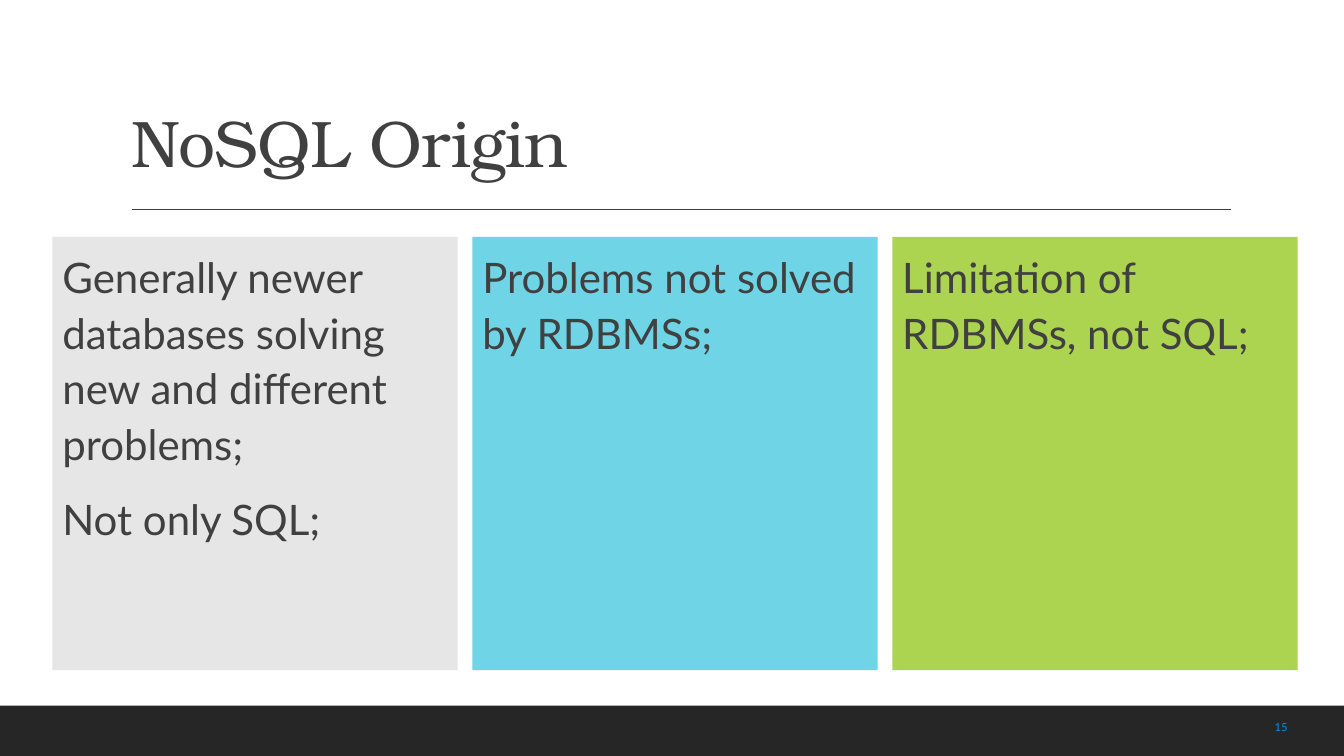
import pptx
import pptx.dml.color
import pptx.enum.shapes
import pptx.enum.text
import pptx.oxml.ns
import pptx.util
from lxml import etree

Inches = pptx.util.Inches
Pt = pptx.util.Pt
RGBColor = pptx.dml.color.RGBColor
Anchor = pptx.enum.text.MSO_ANCHOR
Align = pptx.enum.text.PP_ALIGN

INK = RGBColor(0x40, 0x40, 0x40)
FOOTER = RGBColor(0x26, 0x26, 0x26)
NUMBER = RGBColor(0x00, 0x91, 0xEA)
GREY = RGBColor(0xE6, 0xE6, 0xE6)
CYAN = RGBColor(0x6E, 0xD4, 0xE6)
GREEN = RGBColor(0xAC, 0xD4, 0x51)


class SlideBuilder:
    heading_font = "TeX Gyre Bonum"
    body_font = "Lato"

    def __init__(self, slide):
        self.slide = slide

    def set_text(self, frame, paragraphs, font, size, color,
                 anchor=Anchor.TOP, align=Align.LEFT, line=1.0, before=0, after=0):
        frame.text = "\n".join(paragraphs)
        frame.word_wrap = True
        frame.auto_size = pptx.enum.text.MSO_AUTO_SIZE.NONE
        frame.vertical_anchor = anchor
        frame.margin_left = frame.margin_right = Inches(0.1)
        frame.margin_top = frame.margin_bottom = Inches(0.1)
        for paragraph in frame.paragraphs:
            paragraph.alignment = align
            paragraph.line_spacing = line
            paragraph.space_before = Pt(before)
            paragraph.space_after = Pt(after)
            for run in paragraph.runs:
                run.font.name = font
                run.font.size = Pt(size)
                run.font.color.rgb = color

    def title(self, text, left, top, width, height):
        heading = self.slide.shapes.title
        heading.left, heading.top = Inches(left), Inches(top)
        heading.width, heading.height = Inches(width), Inches(height)
        self.set_text(heading.text_frame, [text], self.heading_font, 47, INK,
                      anchor=Anchor.BOTTOM, line=0.9)
        run = heading.text_frame.paragraphs[0].runs[0]
        run._r.get_or_add_rPr().set("spc", "-50")

    def block(self, left, top, width, height, color):
        block = self.slide.shapes.add_shape(
            pptx.enum.shapes.MSO_SHAPE.RECTANGLE,
            Inches(left), Inches(top), Inches(width), Inches(height))
        block.shadow.inherit = False
        block.fill.solid()
        block.fill.fore_color.rgb = color
        block.line.fill.background()
        return block

    def panel(self, paragraphs, left, top, width, height, color):
        panel = self.block(left, top, width, height, color)
        self.set_text(panel.text_frame, paragraphs, self.body_font, 30, INK,
                      line=1.1, before=12, after=2)

    def rule(self, left, right, y):
        rule = self.slide.shapes.add_connector(
            pptx.enum.shapes.MSO_CONNECTOR.STRAIGHT,
            Inches(left), Inches(y), Inches(right), Inches(y))
        rule.line.color.rgb = INK
        rule.line.width = Pt(1)
        etree.SubElement(rule._element.spPr, pptx.oxml.ns.qn("a:effectLst"))

    def page_number(self, text, left, top, width, height):
        number = self.slide.shapes.add_textbox(
            Inches(left), Inches(top), Inches(width), Inches(height))
        self.set_text(number.text_frame, [text], self.body_font, 8, NUMBER,
                      align=Align.RIGHT)


def main():
    deck = pptx.Presentation()
    deck.slide_width, deck.slide_height = Inches(13.33), Inches(7.5)
    builder = SlideBuilder(deck.slides.add_slide(deck.slide_layouts[5]))

    builder.block(0, 7, 13.33, 0.5, FOOTER)
    builder.rule(1.31, 12.21, 2.08)
    builder.title("NoSQL Origin", 1.2, 0.31, 11, 1.59)
    builder.page_number("15", 12.02, 7.05, 0.85, 0.4)

    origins = [
        (["Generally newer databases solving new and different problems;",
          "Not only SQL;"], GREY),
        (["Problems not solved by RDBMSs;"], CYAN),
        (["Limitation of RDBMSs, not SQL;"], GREEN),
    ]
    first_left, last_left, panel_width = 0.52, 8.85, 4.02
    pitch = (last_left - first_left) / (len(origins) - 1)
    for column, (paragraphs, color) in enumerate(origins):
        builder.panel(paragraphs, first_left + column * pitch, 2.35,
                      panel_width, 4.3, color)

    deck.save("out.pptx")


if __name__ == "__main__":
    main()
